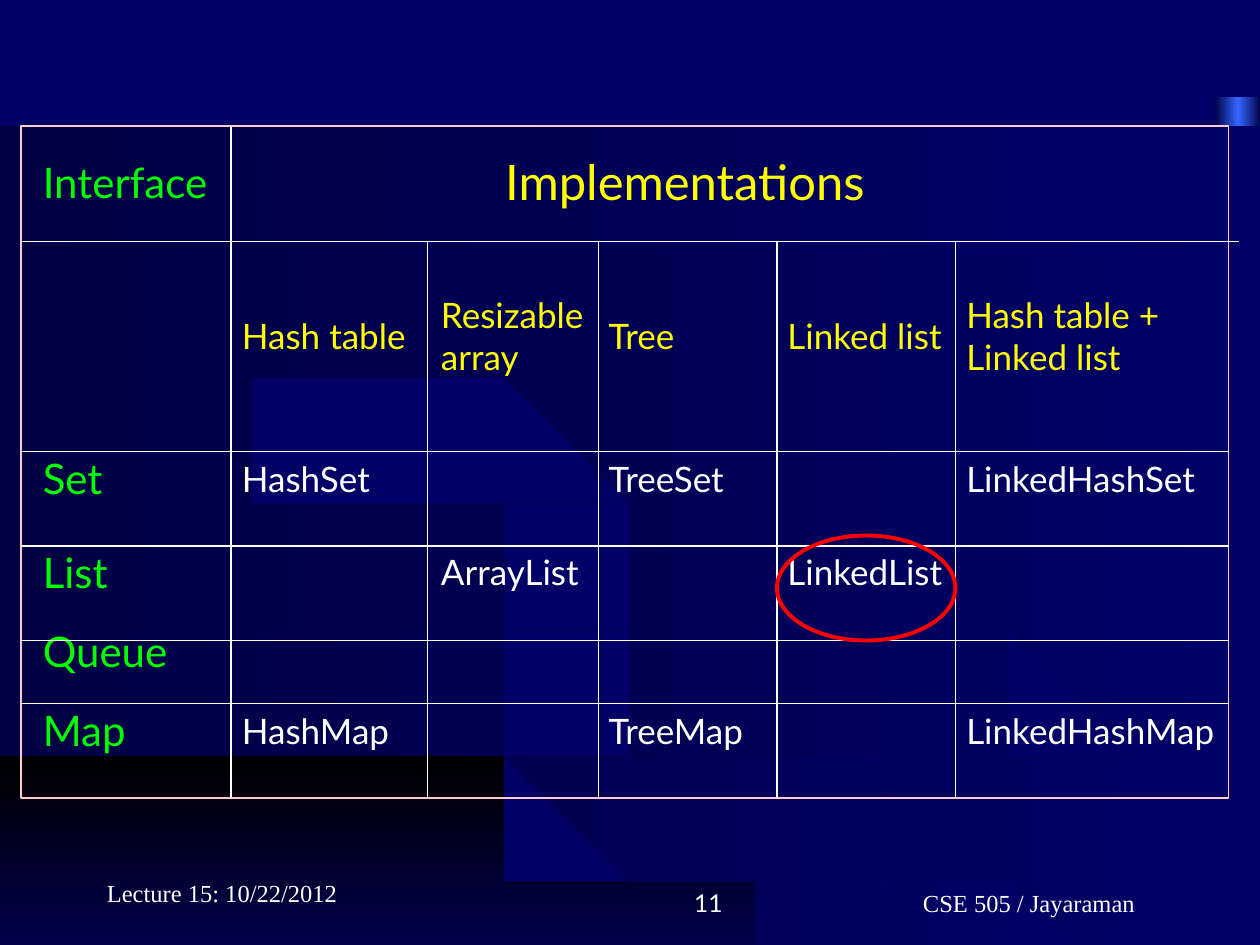
from dataclasses import dataclass
from itertools import pairwise

from lxml import etree
from pptx import Presentation
from pptx import util as u
from pptx.dml.color import RGBColor
from pptx.enum import shapes, text
from pptx.oxml import ns


@dataclass(frozen=True)
class Theme:
    page: str = "000066"
    shade: str = "000044"
    glow: str = "3366FF"
    floor: str = "000000"
    body: str = "FFFFFF"
    frame: str = "FFCCCC"
    label: str = "00FF00"
    heading: str = "FFFF00"
    mark: str = "FF0000"
    font: str = "Lato"
    footer_font: str = "Times New Roman"
    title_size: int = 28
    label_size: int = 24
    cell_size: int = 20
    footer_size: int = 14
    thin: float = 0.75
    thick: float = 2.25


THEME = Theme()
PLAIN_TABLE = "{2D5ABB26-0587-4C30-8999-92F81FD0307C}"

# Upper and lower edge of each background band, in inches.
BANDS = [
    ([(0.01, 4.95), (0.88, 4.97), (2.07, 5.08), (3.36, 5.29), (4.73, 5.65),
      (6.07, 6.17), (7.28, 6.81), (8.34, 7.62), (8.94, 8.25)],
     [(0.01, 5.54), (1.06, 5.59), (2.22, 5.77), (3.43, 6.12), (4.55, 6.61),
      (5.54, 7.29), (6.43, 8.25)]),
    ([(0.01, 4.21), (1.45, 4.25), (2.9, 4.35), (4.27, 4.51), (5.71, 4.76),
      (6.94, 5.05), (8.19, 5.45), (9.05, 5.81), (10.01, 6.37)],
     [(0.01, 4.8), (1.41, 4.86), (2.68, 5.02), (4.06, 5.31), (5.22, 5.67),
      (6.37, 6.14), (7.57, 6.83), (8.39, 7.47), (9.1, 8.25), (10.01, 8.25)]),
    ([(0.01, 3.46), (1.69, 3.49), (3.51, 3.58), (5.24, 3.73), (6.63, 3.9),
      (8.17, 4.15), (10.01, 4.56)],
     [(0.01, 4.07), (1.68, 4.11), (3.04, 4.22), (4.64, 4.42), (6.11, 4.69),
      (7.44, 5.04), (8.82, 5.54), (10.01, 6.19)]),
    ([(0.01, 2.73), (10.01, 2.73)],
     [(0.01, 3.32), (1.87, 3.36), (3.9, 3.46), (5.53, 3.61), (7.03, 3.81),
      (8.66, 4.1), (10.01, 4.42)]),
    ([(0.01, 2.06), (1.58, 2.03), (3.3, 1.95), (5.09, 1.8), (6.85, 1.56),
      (8.36, 1.21), (8.93, 1.03), (9.44, 0.75), (10.01, 0.75)],
     [(0.01, 2.59), (10.01, 2.59)]),
    ([(0.01, 1.39), (1.22, 1.36), (2.68, 1.27), (4.17, 1.07), (5.57, 0.75),
      (9.18, 0.75)],
     [(0.01, 1.92), (1.78, 1.89), (3.42, 1.8), (5.05, 1.67), (6.49, 1.48),
      (7.73, 1.23), (8.55, 1.01), (9.18, 0.75)]),
    ([(0.01, 0.75), (5.02, 0.75)],
     [(0.01, 1.24), (1.02, 1.23), (2.27, 1.16), (3.47, 1.03), (5.02, 0.75)]),
]
FLOOR = ([(0, 5.68), (1.13, 5.74), (2.19, 5.91), (3.28, 6.22), (4.26, 6.63),
          (4.96, 7.05), (5.54, 7.48), (6.29, 8.27)], [(0, 8.27), (6.29, 8.27)])

COLUMN_WIDTHS = [1.58, 1.58, 1.33, 1.42, 1.42, 2.17]
ROW_HEIGHTS = [0.89, 1.55, 0.72, 0.76, 0.49, 0.76]
ROWS = [
    ["Interface", "Implementations", "", "", "", ""],
    ["", "Hash table", "Resizable array", "Tree", "Linked list",
     "Hash table + Linked list"],
    ["Set", "HashSet", "", "TreeSet", "", "LinkedHashSet"],
    ["List", "", "ArrayList", "", "LinkedList", ""],
    ["Queue", "", "", "", "", ""],
    ["Map", "HashMap", "", "TreeMap", "", "LinkedHashMap"],
]


def grid(*steps):
    """Lengths on a grid of twelfths of an inch."""
    return [u.Inches(step / 12) for step in steps]


def rgb(name):
    return RGBColor.from_string(name)


def curve(knots, steps=4):
    """Points of a smooth line through the knots; flat runs stay straight."""
    ends = [knots[0], *knots, knots[-1]]
    points = [knots[0]]
    for i, (start, end) in enumerate(pairwise(knots)):
        before, after = ends[i], ends[i + 3]
        for step in range(1, steps + 1):
            t = step / steps
            x, y = (
                b + t * (c - a) / 2 + t * t * (2 * a - 5 * b + 4 * c - d) / 2
                + t ** 3 * (3 * b - a - 3 * c + d) / 2
                for a, b, c, d in zip(before, start, end, after))
            points.append((x, start[1] if start[1] == end[1] else y))
    return points


def gradient(shape, colors, angle=0):
    """Evenly spaced stops; the angle runs counter-clockwise."""
    shape.shadow.inherit = False
    shape.line.fill.background()
    shape.fill.gradient()
    shape.fill.gradient_angle = angle
    stops = shape.element.spPr.find(".//" + ns.qn("a:gsLst"))
    for stop in list(stops):
        stops.remove(stop)
    for i, color in enumerate(colors):
        stop = etree.SubElement(stops, ns.qn("a:gs"),
                                pos=str(100000 * i // (len(colors) - 1)))
        etree.SubElement(stop, ns.qn("a:srgbClr"), val=color)


def add_band(page, edges, colors, angle=0):
    upper, lower = map(curve, edges)
    outline = upper + lower[::-1]
    builder = page.shapes.build_freeform(*outline[0], scale=u.Inches(1))
    builder.add_line_segments(outline[1:], close=True)
    gradient(builder.convert_to_shape(), colors, angle)


def add_background(page):
    page.background.fill.solid()
    page.background.fill.fore_color.rgb = rgb(THEME.page)
    bar = page.shapes.add_shape(shapes.MSO_SHAPE.RECTANGLE,
                                *map(u.Inches, (9.64, 0.77, 0.37, 7.5)))
    gradient(bar, [THEME.shade, THEME.glow, THEME.shade])
    add_band(page, FLOOR, [THEME.floor, THEME.page], angle=270)
    for edges in BANDS:
        add_band(page, edges, [THEME.shade, THEME.page])


def style(para, size, color, font=THEME.font):
    para.font.size, para.font.name = u.Pt(size), font
    para.font.color.rgb = rgb(color)


def cell_style(row, column):
    if column == 0:
        return THEME.label_size, THEME.label
    if row == 0:
        return THEME.title_size, THEME.heading
    return THEME.cell_size, THEME.heading if row == 1 else THEME.body


def add_interface_table(page):
    frame = page.shapes.add_table(len(ROWS), len(COLUMN_WIDTHS),
                                  *grid(3, 12, 114, 62))
    table = frame.table
    table.first_row = table.horz_banding = False
    table._tbl.tblPr.find(ns.qn("a:tableStyleId")).text = PLAIN_TABLE
    for column, width in zip(table.columns, COLUMN_WIDTHS):
        column.width = u.Inches(width)
    for row, height in zip(table.rows, ROW_HEIGHTS):
        row.height = u.Inches(height)
    for r, words in enumerate(ROWS):
        for c, word in enumerate(words):
            cell = table.cell(r, c)
            cell.fill.background()
            cell.vertical_anchor = text.MSO_ANCHOR.MIDDLE
            cell.margin_left = cell.margin_right = u.Inches(0.09)
            cell.text = word
            style(cell.text_frame.paragraphs[0], *cell_style(r, c))
    heading = table.cell(0, 1)
    heading.merge(table.cell(0, len(COLUMN_WIDTHS) - 1))
    heading.margin_left = u.Inches(2.18)


def add_outline(page, kind, place, color, width):
    shape = page.shapes.add_shape(kind, *grid(*place))
    shape.shadow.inherit = False
    shape.fill.background()
    shape.line.color.rgb, shape.line.width = rgb(color), u.Pt(width)


def add_rule(page, *ends):
    rule = page.shapes.add_connector(shapes.MSO_CONNECTOR.STRAIGHT, *grid(*ends))
    rule.line.color.rgb, rule.line.width = rgb(THEME.body), u.Pt(THEME.thin)
    etree.SubElement(rule.element.spPr, ns.qn("a:effectLst"))


def add_footer(page, words, place, align, font):
    box = page.shapes.add_textbox(*grid(*place)).text_frame
    box.word_wrap, box.vertical_anchor = True, text.MSO_ANCHOR.BOTTOM
    para = box.paragraphs[0]
    para.text, para.alignment = words, align
    style(para, THEME.footer_size, THEME.body, font)


def main():
    deck = Presentation()
    deck.slide_width, deck.slide_height = u.Inches(10), u.Inches(7.5)
    page = deck.slides.add_slide(deck.slide_layouts[6])
    add_background(page)
    add_interface_table(page)

    left, top, right, bottom = 2, 12, 117, 76
    add_outline(page, shapes.MSO_SHAPE.RECTANGLE,
                (left, top, right - left, bottom - top), THEME.frame, THEME.thin)
    add_rule(page, 22, top, 22, bottom)
    add_rule(page, left, 23, right + 1, 23)
    for y in (43, 52, 61, 67):
        add_rule(page, left, y, right, y)
    for x in (40.7, 57, 74, 91):
        add_rule(page, x, 23, x, bottom)
    add_outline(page, shapes.MSO_SHAPE.OVAL, (74, 51, 17, 10),
                THEME.mark, THEME.thick)

    align = text.PP_ALIGN
    add_footer(page, "Lecture 15: 10/22/2012", (9, 81, 25, 6), align.LEFT,
               THEME.footer_font)
    add_footer(page, "CSE 505 / Jayaraman", (79, 82, 38, 6), align.CENTER,
               THEME.footer_font)
    add_footer(page, "11", (45, 82, 25, 6), align.RIGHT, THEME.font)
    deck.save("out.pptx")


if __name__ == "__main__":
    main()
